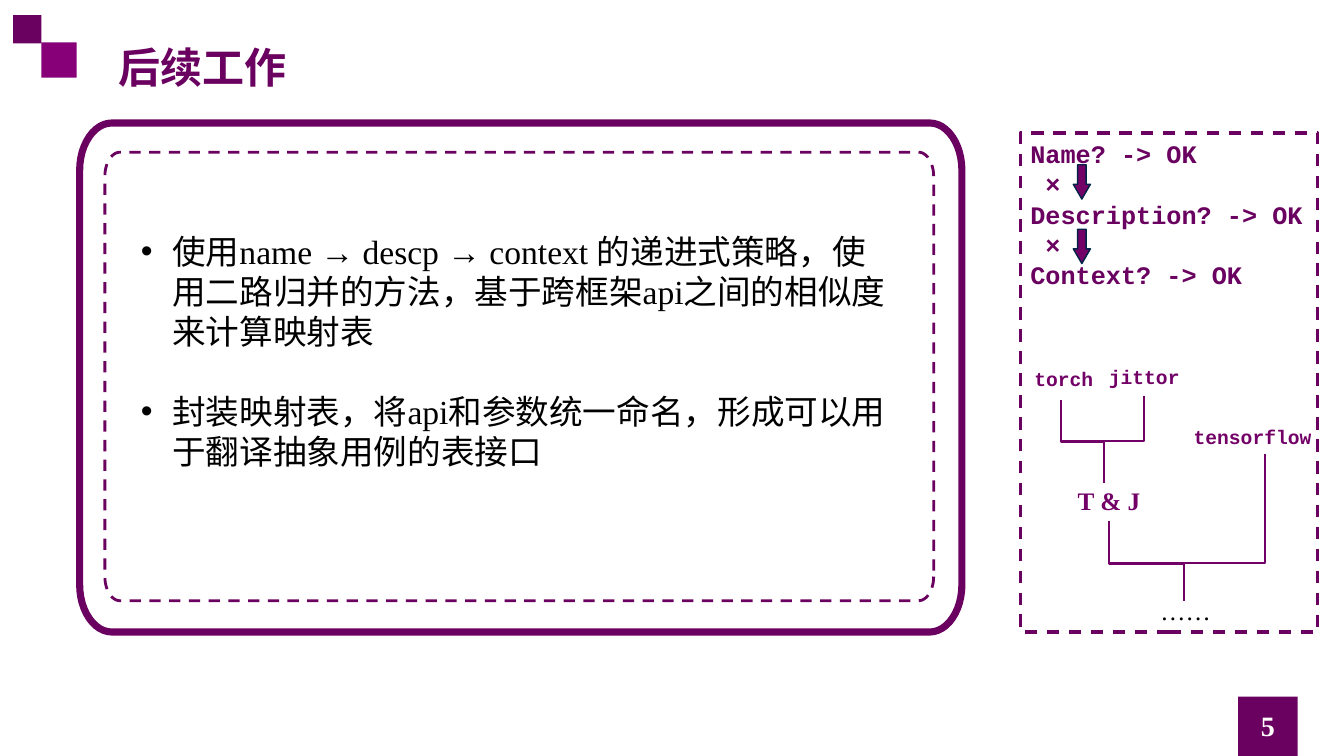
from dataclasses import dataclass
from math import cos, pi, sin

from lxml import etree
from pptx import Presentation
from pptx.dml.color import RGBColor
from pptx.enum.dml import MSO_LINE
from pptx.enum.shapes import MSO_CONNECTOR, MSO_SHAPE
from pptx.enum.text import MSO_ANCHOR, PP_ALIGN
from pptx.oxml.ns import qn
from pptx.util import Inches, Pt

RECTANGLE, RIGHT_ARROW = MSO_SHAPE.RECTANGLE, MSO_SHAPE.RIGHT_ARROW
ELBOW, DASH = MSO_CONNECTOR.ELBOW, MSO_LINE.DASH
LEFT, CENTER = PP_ALIGN.LEFT, PP_ALIGN.CENTER
TOP, MIDDLE = MSO_ANCHOR.TOP, MSO_ANCHOR.MIDDLE


@dataclass(frozen=True)
class Theme:
    """Colours, fonts and type sizes of the deck."""
    purple: str = "6A005F"
    bright: str = "870078"
    plum: str = "730067"
    navy: str = "002447"
    black: str = "000000"
    white: str = "FFFFFF"
    serif: str = "Times New Roman"
    mono: str = "Courier New"
    chinese: str = "Noto Sans CJK SC"
    title: int = 30
    body: int = 24
    number: int = 20
    flow: int = 18
    label: int = 14


THEME = Theme()


def add_span(para, text, size, font, color, bold=False):
    """Add one run with Latin and East Asian fonts."""
    span = para.add_run()
    span.text = text
    span.font.size, span.font.name, span.font.bold = Pt(size), font, bold
    span.font.color.rgb = RGBColor.from_string(color)
    east_asian = etree.SubElement(span.font._element, qn("a:ea"))
    east_asian.set("typeface", THEME.chinese)


def add_label(page, box, text, size, font, color, bold=True, align=LEFT, anchor=TOP):
    """Place a single-line text box."""
    frame = page.shapes.add_textbox(*map(Inches, box)).text_frame
    frame.word_wrap = False
    frame.vertical_anchor = anchor
    frame.paragraphs[0].alignment = align
    add_span(frame.paragraphs[0], text, size, font, color, bold)


def style_shape(shape, fill=None, line=None, width=1.0, dash=None):
    """Set fill and outline and drop the shadow."""
    shape.shadow.inherit = False
    if fill:
        shape.fill.solid()
        shape.fill.fore_color.rgb = RGBColor.from_string(fill)
    else:
        shape.fill.background()
    if line:
        shape.line.color.rgb = RGBColor.from_string(line)
        shape.line.width = Pt(width)
        shape.line.dash_style = dash
    else:
        shape.line.fill.background()


def add_square(page, left, top, side, color):
    """Draw a filled square."""
    square = page.shapes.add_shape(RECTANGLE, *map(Inches, (left, top, side, side)))
    style_shape(square, color)


def add_frame(page, box, radii, width, dash=None):
    """Outline a box with elliptical corners."""
    left, top, wide, high = box
    across, down = radii
    steps = 12
    points = []
    for corner in range(4):
        center_x = left + (wide - across if corner in (0, 3) else across)
        center_y = top + (high - down if corner < 2 else down)
        for step in range(steps + 1):
            angle = (corner + step / steps) * pi / 2
            points.append((Inches(center_x + across * cos(angle)),
                           Inches(center_y + down * sin(angle))))
    builder = page.shapes.build_freeform(*points[0])
    builder.add_line_segments(points[1:], close=True)
    style_shape(builder.convert_to_shape(), None, THEME.purple, width, dash)


def add_branch(page, start, end, bend):
    """Join two points with an elbow that leaves downwards and turns at bend."""
    drop, shift = end[1] - start[1], end[0] - start[0]
    left = (start[0] + end[0] - drop) / 2
    top = (start[1] + end[1] - abs(shift)) / 2
    branch = page.shapes.add_connector(
        ELBOW, *map(Inches, (left, top, left + drop, top + abs(shift))))
    branch.line.color.rgb = RGBColor.from_string(THEME.plum)
    branch.line.width = Pt(1.5)
    properties = branch._element.spPr
    placement = properties.find(qn("a:xfrm"))
    placement.set("rot", str((270 if shift > 0 else 90) * 60000))
    if shift > 0:
        placement.set("flipH", "1")
    guides = properties.find(qn("a:prstGeom")).find(qn("a:avLst"))
    ratio = round((bend - start[1]) / drop * 100000)
    etree.SubElement(guides, qn("a:gd"), name="adj1", fmla=f"val {ratio}")
    etree.SubElement(properties, qn("a:effectLst"))


def build_header(page, box):
    """Place the corner squares and the title."""
    left, top, wide, high = box
    add_square(page, left + 0.28, top + 0.27, 0.35, THEME.bright)
    add_square(page, left, top, 0.28, THEME.purple)
    add_label(page, (left + 0.95, top + 0.21, wide - 0.95, high - 0.21),
              "后续工作", THEME.title, THEME.chinese, THEME.purple)


def build_plan(page, box, items):
    """Place the double frame with its bulleted plan."""
    left, top, wide, high = box
    add_frame(page, box, (0.32, 0.47), 5.06)
    add_frame(page, (left + 0.25, top + 0.29, wide - 0.53, high - 0.6),
              (0.15, 0.24), 2.02, DASH)
    frame = page.shapes.add_textbox(
        *map(Inches, (left + 0.51, top + 1.02, 7.71, 3.4))).text_frame
    frame.word_wrap = True
    for index, item in enumerate(items):
        para = frame.add_paragraph() if index else frame.paragraphs[0]
        para.line_spacing = Pt(28.7)
        para.space_before = Pt(28.7 if index else 0)
        layout = para._p.get_or_add_pPr()
        layout.set("marL", str(Inches(0.31)))
        layout.set("indent", str(-Inches(0.31)))
        etree.SubElement(layout, qn("a:buFont"), typeface="Arial")
        etree.SubElement(layout, qn("a:buChar"), char="•")
        add_span(para, item, THEME.body, THEME.serif, THEME.black)


def build_strategy(page, box, steps):
    """Place the matching steps and the merge tree in a dashed panel."""
    left, top, wide, high = box
    panel = page.shapes.add_shape(RECTANGLE, *map(Inches, box))
    style_shape(panel, None, THEME.purple, 2.25, DASH)
    frame = panel.text_frame
    frame.word_wrap = True
    frame.vertical_anchor = TOP
    for index, step in enumerate(steps):
        para = frame.add_paragraph() if index else frame.paragraphs[0]
        para.alignment = LEFT
        para.line_spacing = Pt(21.7)
        add_span(para, step, THEME.flow, THEME.mono, THEME.purple, True)

    for x, y, width, name in ((0.04, 2.27, 0.79, "torch"), (0.78, 2.25, 0.91, "jittor"),
                              (1.62, 2.85, 1.38, "tensorflow")):
        add_label(page, (left + x, top + y, width, 0.34), name,
                  THEME.label, THEME.mono, THEME.plum)
    add_label(page, (left + 0.47, top + 3.45, 0.83, 0.4), "T & J",
              THEME.flow, THEME.serif, THEME.plum)
    add_label(page, (left + 1.29, top + 4.54, 0.71, 0.4), "……",
              THEME.flow, THEME.serif, THEME.black, False)

    for start, end, bend in (((0.4, 2.65), (0.83, 3.47), 3.06),
                             ((1.23, 2.61), (0.83, 3.47), 3.06),
                             ((0.88, 3.85), (1.62, 4.27), 4.27),
                             ((2.43, 3.18), (1.62, 4.64), 4.27)):
        add_branch(page, (left + start[0], top + start[1]),
                   (left + end[0], top + end[1]), top + bend)

    for y in (0.4, 1.04):
        arrow = page.shapes.add_shape(
            RIGHT_ARROW, *map(Inches, (left + 0.44, top + y, 0.34, 0.17)))
        arrow.rotation = 90
        arrow.adjustments[1] = 0.86
        style_shape(arrow, THEME.plum, THEME.navy)


def build_number(page, box, number):
    """Place the page number on its square."""
    left, top, wide, high = box
    add_square(page, left, top, wide, THEME.purple)
    add_label(page, (left, top, wide, high - 0.02), number, THEME.number,
              THEME.serif, THEME.white, align=CENTER, anchor=MIDDLE)


def main():
    """Build and save the deck."""
    deck = Presentation()
    deck.slide_width, deck.slide_height = Inches(13.33), Inches(7.5)
    page = deck.slides.add_slide(deck.slide_layouts[6])
    build_header(page, (0.13, 0.15, 2.83, 0.82))
    build_plan(page, (0.79, 1.22, 8.75, 5.05), (
        "使用name → descp → context 的递进式策略，使用二路归并的方法，基于跨框架api之间的相似度来计算映射表",
        "封装映射表，将api和参数统一命名，形成可以用于翻译抽象用例的表接口"))
    build_strategy(page, (10.12, 1.32, 2.95, 4.95), (
        "Name? -> OK", " ×", "Description? -> OK", " ×", "Context? -> OK"))
    build_number(page, (12.28, 6.91, 0.59, 0.59), "5")
    deck.save("out.pptx")


if __name__ == "__main__":
    main()
